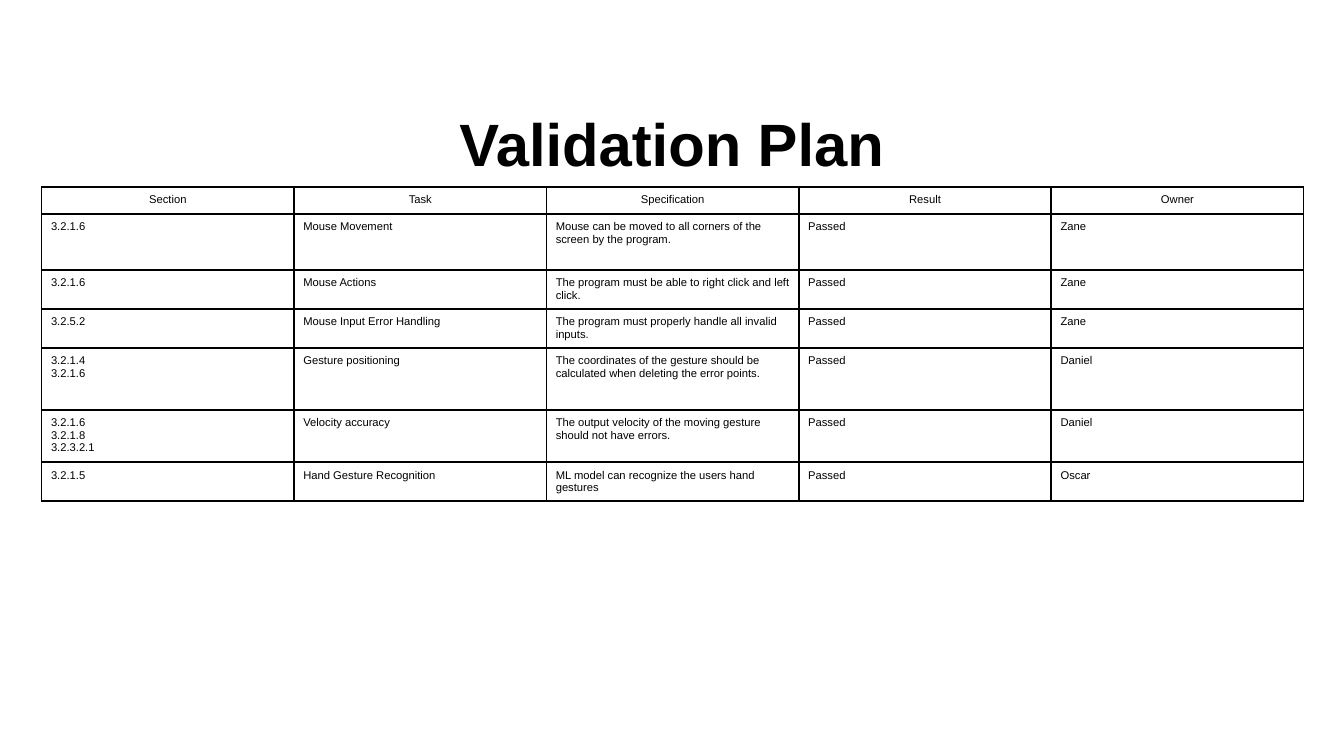
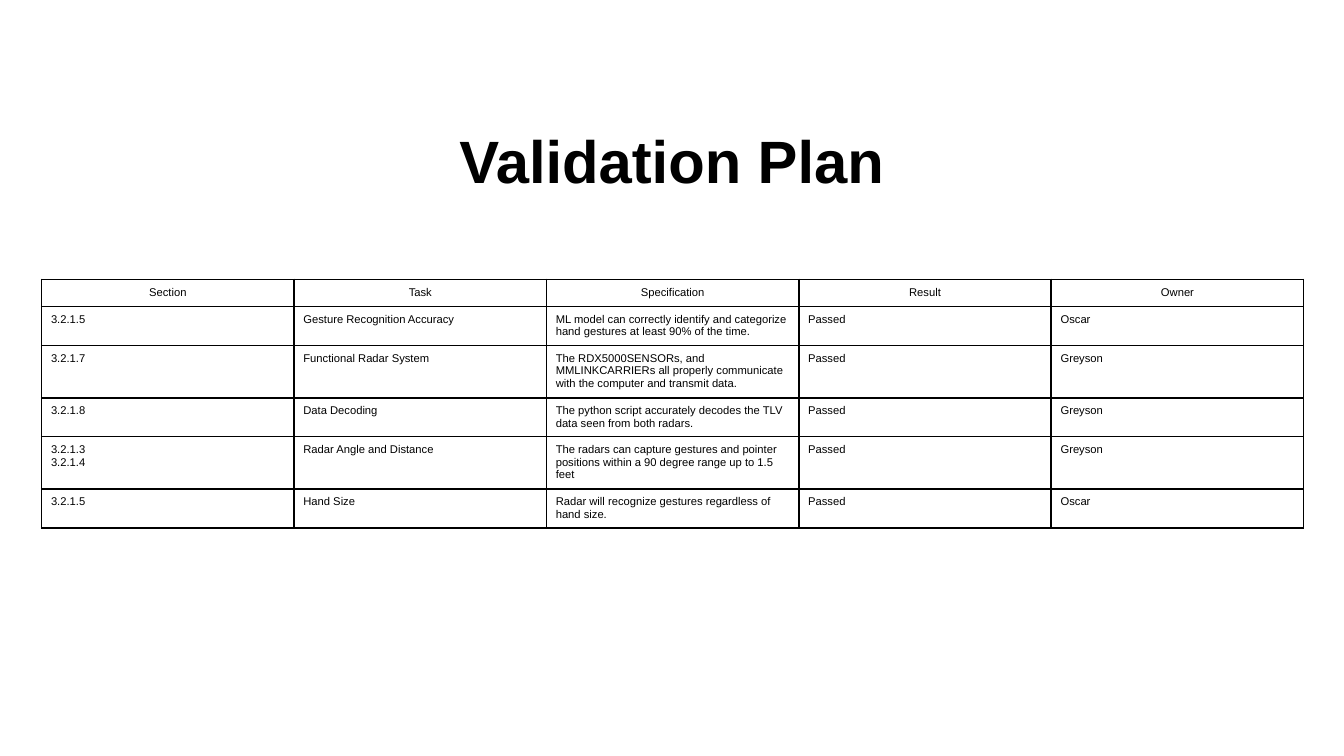
from lxml.etree import SubElement
from pptx import Presentation
from pptx.dml.color import RGBColor
from pptx.enum.text import MSO_ANCHOR, MSO_AUTO_SIZE, PP_ALIGN
from pptx.oxml.ns import qn
from pptx.util import Inches, Pt

# Shared style
BLACK = RGBColor(0x00, 0x00, 0x00)
FONT = "Arial"
TITLE = "Validation Plan"
HEADERS = ("Section", "Task", "Specification", "Result", "Owner")
TABLE_LEFT = 0.31
TABLE_WIDTH = 9.39
HEADER_HEIGHT = 0.2
TWO_LINES = 0.29
THREE_LINES = 0.39
TITLE_ONLY = 5

# Each test: row height, section, task, specification, owner
INPUT_TESTS = [
    (0.42, "3.2.1.6", "Mouse Movement",
     "Mouse can be moved to all corners of the screen by the program.", "Zane"),
    (TWO_LINES, "3.2.1.6", "Mouse Actions",
     "The program must be able to right click and left click.", "Zane"),
    (TWO_LINES, "3.2.5.2", "Mouse Input Error Handling",
     "The program must properly handle all invalid inputs.", "Zane"),
    (0.46, "3.2.1.4\n3.2.1.6", "Gesture positioning",
     "The coordinates of the gesture should be calculated when deleting "
     "the error points.", "Daniel"),
    (THREE_LINES, "3.2.1.6\n3.2.1.8\n3.2.3.2.1", "Velocity accuracy",
     "The output velocity of the moving gesture should not have errors.",
     "Daniel"),
    (TWO_LINES, "3.2.1.5", "Hand Gesture Recognition",
     "ML model can recognize the users hand gestures", "Oscar"),
]
RADAR_TESTS = [
    (TWO_LINES, "3.2.1.5", "Gesture Recognition Accuracy",
     "ML model can correctly identify and categorize hand gestures at least "
     "90% of the time.", "Oscar"),
    (THREE_LINES, "3.2.1.7", "Functional Radar System",
     "The RDX5000SENSORs, and MMLINKCARRIERs all properly communicate with "
     "the computer and transmit data.", "Greyson"),
    (TWO_LINES, "3.2.1.8", "Data Decoding",
     "The python script accurately decodes the TLV data seen from both radars.",
     "Greyson"),
    (THREE_LINES, "3.2.1.3\n3.2.1.4", "Radar Angle and Distance",
     "The radars can capture gestures and pointer positions within a 90 degree "
     "range up to 1.5 feet", "Greyson"),
    (TWO_LINES, "3.2.1.5", "Hand Size",
     "Radar will recognize gestures regardless of hand size.", "Oscar"),
]


def format_text(text_frame, size, alignment, bold=False):
    for paragraph in text_frame.paragraphs:
        paragraph.alignment = alignment
        for run in paragraph.runs:
            run.font.name = FONT
            run.font.size = Pt(size)
            run.font.bold = bold
            run.font.color.rgb = BLACK


def add_title(slide, top):
    title = slide.shapes.title
    title.left, title.top = Inches(0.5), Inches(top)
    title.width, title.height = Inches(9), Inches(0.66)
    text_frame = title.text_frame
    text_frame.text = TITLE
    text_frame.auto_size = MSO_AUTO_SIZE.NONE
    text_frame.vertical_anchor = MSO_ANCHOR.MIDDLE
    format_text(text_frame, 32, PP_ALIGN.CENTER, bold=True)


def add_borders(cell):
    properties = cell._tc.get_or_add_tcPr()
    for edge in ("a:lnL", "a:lnR", "a:lnT", "a:lnB"):
        line = SubElement(properties, qn(edge), w=str(Pt(1)))
        fill = SubElement(line, qn("a:solidFill"))
        SubElement(fill, qn("a:srgbClr"), val=str(BLACK))


def fill_cell(cell, text, alignment):
    cell.text = text
    cell.margin_left = cell.margin_right = Inches(0.07)
    cell.margin_top = cell.margin_bottom = Inches(0.05)
    cell.vertical_anchor = MSO_ANCHOR.TOP
    format_text(cell.text_frame, 6, alignment)
    # Borders come before the fill in the cell properties
    add_borders(cell)
    cell.fill.background()


def add_test_table(slide, top, tests):
    rows = [(HEADER_HEIGHT, HEADERS)]
    for height, section, task, specification, owner in tests:
        rows.append((height, (section, task, specification, "Passed", owner)))
    # Columns share the table width equally
    table = slide.shapes.add_table(
        len(rows), len(HEADERS), Inches(TABLE_LEFT), Inches(top),
        Inches(TABLE_WIDTH), Inches(sum(height for height, _ in rows))).table
    table.first_row = False
    table.horz_banding = False
    for row_index, (height, texts) in enumerate(rows):
        table.rows[row_index].height = Inches(height)
        alignment = PP_ALIGN.LEFT if row_index else PP_ALIGN.CENTER
        for column_index, text in enumerate(texts):
            fill_cell(table.cell(row_index, column_index), text, alignment)


def add_plan_slide(presentation, title_top, table_top, tests):
    slide = presentation.slides.add_slide(presentation.slide_layouts[TITLE_ONLY])
    add_title(slide, title_top)
    add_test_table(slide, table_top, tests)


def main():
    presentation = Presentation()
    # Widescreen, 16:9
    presentation.slide_width = Inches(10)
    presentation.slide_height = Inches(10) * 9 // 16
    add_plan_slide(presentation, 0.73, 1.39, INPUT_TESTS)
    add_plan_slide(presentation, 0.86, 2.08, RADAR_TESTS)
    presentation.save("out.pptx")


if __name__ == "__main__":
    main()
